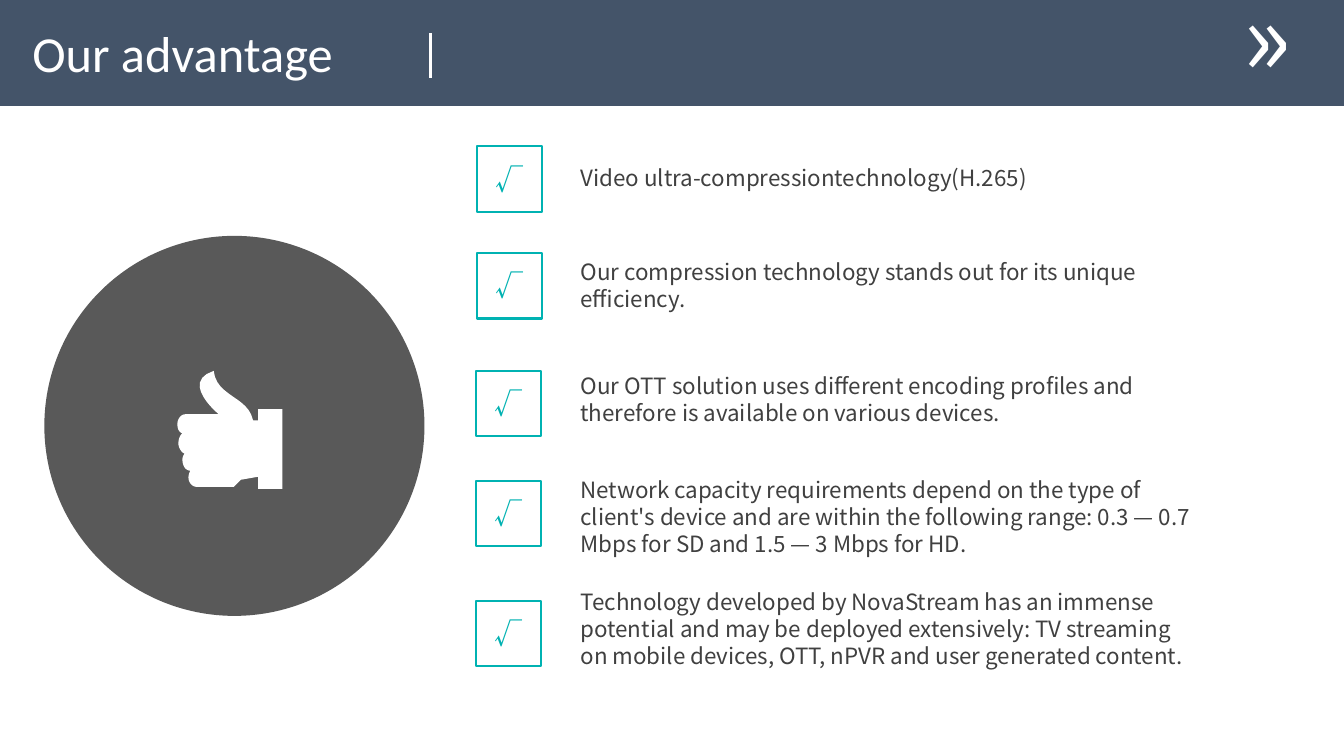
"""Build the "Our advantage" slide with a thumbs-up emblem and five ticked points."""
from dataclasses import dataclass
from typing import Any

from lxml.etree import SubElement
from pptx import Presentation
from pptx.dml.color import RGBColor
from pptx.enum.shapes import MSO_CONNECTOR, MSO_SHAPE
from pptx.enum.text import MSO_ANCHOR, MSO_AUTO_SIZE, PP_ALIGN
from pptx.oxml.ns import qn
from pptx.util import Inches, Pt


@dataclass(frozen=True)
class Theme:
    band: RGBColor = RGBColor.from_string("445469")
    emblem: RGBColor = RGBColor.from_string("595959")
    accent: RGBColor = RGBColor.from_string("00B2B2")
    ink: RGBColor = RGBColor.from_string("404040")
    white: RGBColor = RGBColor.from_string("FFFFFF")
    heading_font: str = "Calibri"
    text_font: str = "Noto Sans CJK SC"
    heading_size: float = 36
    text_size: float = 16
    tick_size: float = 20
    chevron_size: float = 72
    text_pitch: float = 19.4
    chevron_pitch: float = 86.4


@dataclass(frozen=True)
class Advantage:
    text: str
    tick_left: float
    tick_top: float
    text_top: float
    lines: int
    width: float = 6.28


@dataclass(frozen=True)
class Segment:
    points: tuple[tuple[float, float], ...]


THEME = Theme()
TICK_SIDE = 0.65
TEXT_LEFT = 5.66
CURVE_STEPS = 12

ADVANTAGES = [
    Advantage("Video ultra-compressiontechnology(H.265)", 4.73, 1.45, 1.58, 1, 5.39),
    Advantage("Our compression technology stands out for its unique efficiency.",
              4.73, 2.51, 2.51, 2),
    Advantage("Our OTT solution uses different encoding profiles and therefore is "
              "available on various devices.", 4.72, 3.68, 3.64, 2),
    Advantage("Network capacity requirements depend on the type of client's device and "
              "are within the following range: 0.3 — 0.7 Mbps for SD and 1.5 — 3 Mbps "
              "for HD.", 4.72, 4.77, 4.67, 3),
    Advantage("Technology developed by NovaStream has an immense potential and may be "
              "deployed extensively: TV streaming on mobile devices, OTT, nPVR and user "
              "generated content.", 4.72, 5.96, 5.78, 3),
]

THUMB_START = (2.12, 3.68)
THUMB = [
    Segment(((1.78, 3.79), (2.17, 4.11), (2.17, 4.11))),
    Segment(((1.84, 4.11),)),
    Segment(((1.8, 4.11), (1.76, 4.15), (1.76, 4.21))),
    Segment(((1.76, 4.26), (1.78, 4.29), (1.81, 4.3))),
    Segment(((1.78, 4.32), (1.77, 4.37), (1.77, 4.4))),
    Segment(((1.77, 4.44), (1.8, 4.49), (1.83, 4.5))),
    Segment(((1.82, 4.52), (1.81, 4.53), (1.81, 4.56))),
    Segment(((1.81, 4.62), (1.84, 4.67), (1.89, 4.67))),
    Segment(((1.88, 4.68), (1.87, 4.71), (1.87, 4.74))),
    Segment(((1.87, 4.79), (1.91, 4.83), (1.95, 4.83))),
    *(Segment((corner,)) for corner in (
        (2.32, 4.83), (2.39, 4.76), (2.56, 4.73), (2.56, 4.85), (2.8, 4.85),
        (2.8, 4.06), (2.56, 4.06), (2.56, 4.17), (2.51, 4.17))),
    Segment(((2.46, 3.93), (2.15, 3.94), (2.12, 3.68))),
]


def apply(target: Any, values: dict[str, Any]) -> None:
    for attribute, value in values.items():
        setattr(target, attribute, value)


def box(left: float, top: float, width: float, height: float) -> tuple[int, ...]:
    return tuple(Inches(length) for length in (left, top, width, height))


def write(shape: Any, text: str, font: str, size: float, color: RGBColor,
          frame: dict[str, Any], paragraph: dict[str, Any]) -> None:
    apply(shape.text_frame, {"word_wrap": True, "auto_size": MSO_AUTO_SIZE.NONE, **frame})
    line = shape.text_frame.paragraphs[0]
    apply(line, paragraph)
    run = line.add_run()
    run.text = text
    apply(run.font, {"name": font, "size": Pt(size)})
    run.font.color.rgb = color
    SubElement(run.font._element, qn("a:ea")).set("typeface", font)


def paint(shape: Any, fill: RGBColor | None, line: RGBColor | None = None) -> None:
    shape.shadow.inherit = False
    if fill is None:
        shape.fill.background()
    else:
        shape.fill.solid()
        shape.fill.fore_color.rgb = fill
    if line is None:
        shape.line.fill.background()
    else:
        shape.line.color.rgb = line
        shape.line.width = Pt(1.5)


def outline(start: tuple[float, float], segments: list[Segment]) -> list[tuple[int, int]]:
    points = [start]
    for segment in segments:
        if len(segment.points) == 1:
            points.append(segment.points[0])
            continue
        controls = (points[-1], *segment.points)
        for step in range(1, CURVE_STEPS + 1):
            t = step / CURVE_STEPS
            weights = ((1 - t) ** 3, 3 * t * (1 - t) ** 2, 3 * t * t * (1 - t), t ** 3)
            points.append(tuple(sum(w * c[axis] for w, c in zip(weights, controls))
                                for axis in (0, 1)))
    return [(Inches(x), Inches(y)) for x, y in points]


def draw_header(slide: Any) -> None:
    band = slide.shapes.add_shape(MSO_SHAPE.RECTANGLE, *box(0, 0, 13.33, 1.05))
    paint(band, THEME.band)
    divider = slide.shapes.add_connector(
        MSO_CONNECTOR.STRAIGHT, Inches(4.27), Inches(0.33), Inches(4.27), Inches(0.77))
    divider.line.color.rgb = THEME.white
    divider.line.width = Pt(2.25)
    SubElement(divider.element.spPr, qn("a:effectLst"))
    chevrons = slide.shapes.add_textbox(*box(12.4, -0.08, 0.51, 1.31))
    chevrons.rotation = 180
    write(chevrons, "«", THEME.text_font, THEME.chevron_size, THEME.white, {},
          {"line_spacing": Pt(THEME.chevron_pitch)})
    heading = slide.shapes.title
    apply(heading, dict(zip(("left", "top", "width", "height"), box(0.22, 0.17, 3.88, 0.71))))
    write(heading, "Our advantage", THEME.heading_font, THEME.heading_size, THEME.white,
          {"vertical_anchor": MSO_ANCHOR.TOP}, {"alignment": PP_ALIGN.LEFT})
    heading.element.getparent().append(heading.element)


def draw_emblem(slide: Any) -> None:
    emblem = slide.shapes.add_group_shape()
    disc = emblem.shapes.add_shape(MSO_SHAPE.OVAL, *box(0.44, 2.34, 3.77, 3.77))
    paint(disc, THEME.emblem)
    points = outline(THUMB_START, THUMB)
    builder = emblem.shapes.build_freeform(*points[0])
    builder.add_line_segments(points[1:], close=True)
    paint(builder.convert_to_shape(), THEME.white)


def draw_advantage(slide: Any, advantage: Advantage) -> None:
    tick = slide.shapes.add_shape(
        MSO_SHAPE.RECTANGLE,
        *box(advantage.tick_left, advantage.tick_top, TICK_SIDE, TICK_SIDE))
    paint(tick, None, THEME.accent)
    write(tick, "√", THEME.text_font, THEME.tick_size, THEME.accent,
          {"vertical_anchor": MSO_ANCHOR.MIDDLE}, {"alignment": PP_ALIGN.CENTER})
    point = slide.shapes.add_textbox(*box(
        TEXT_LEFT, advantage.text_top, advantage.width, 0.1 + 0.27 * advantage.lines))
    write(point, advantage.text, THEME.text_font, THEME.text_size, THEME.ink, {},
          {"line_spacing": Pt(THEME.text_pitch)})


def main() -> None:
    deck = Presentation()
    apply(deck, {"slide_width": Inches(13.33), "slide_height": Inches(7.5)})
    slide = deck.slides.add_slide(deck.slide_layouts.get_by_name("Title Only"))
    draw_header(slide)
    draw_emblem(slide)
    for advantage in ADVANTAGES:
        draw_advantage(slide, advantage)
    deck.save("out.pptx")


if __name__ == "__main__":
    main()
